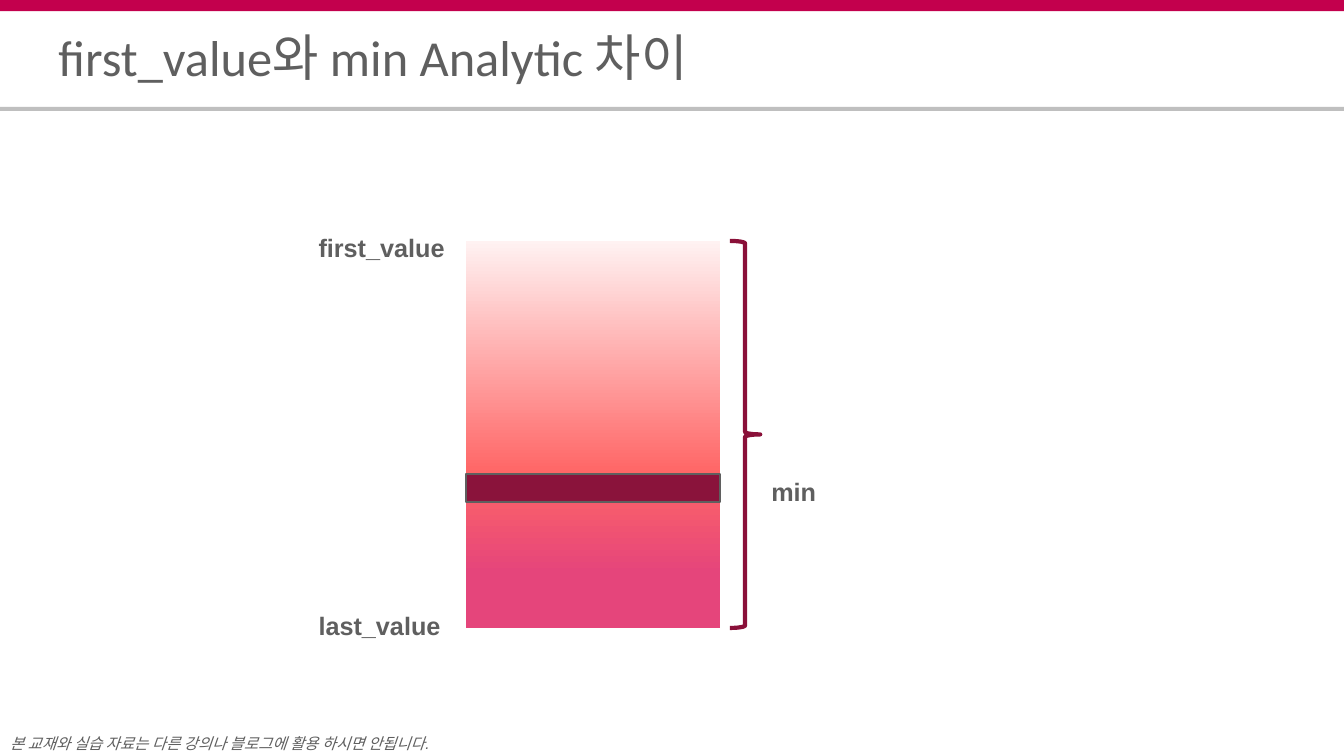
from copy import deepcopy
from pptx import Presentation
from pptx.dml.color import RGBColor
from pptx.enum.shapes import MSO_SHAPE
from pptx.enum.text import MSO_ANCHOR
from pptx.oxml.ns import qn
from pptx.util import Inches, Pt

COLORS = {
    "accent": "C3004D",
    "rule": "BFBFBF",
    "text": "5F5F5F",
    "pale": "FFF2F2",
    "coral": "FF6666",
    "pink": "E5457B",
    "wine": "8A133B",
    "brace": "8A1039",
}


def color(name):
    return RGBColor.from_string(COLORS[name])


class Page:
    def __init__(self, deck):
        self.slide = deck.slides.add_slide(deck.slide_layouts[6])

    def shape(self, kind, box, fill=None, line=None, width=1):
        item = self.slide.shapes.add_shape(kind, *map(Inches, box))
        item.shadow.inherit = False
        if fill:
            item.fill.solid()
            item.fill.fore_color.rgb = color(fill)
        else:
            item.fill.background()
        if line:
            item.line.color.rgb = color(line)
            item.line.width = Pt(width)
        else:
            item.line.fill.background()
        return item

    def rect(self, box, fill, line=None, width=1):
        return self.shape(MSO_SHAPE.RECTANGLE, box, fill, line, width)

    def blend(self, box, stops):
        item = self.rect(box, stops[0][1])
        item.fill.gradient()
        item.fill.gradient_angle = 270
        group = item.element.spPr.find(qn("a:gradFill")).find(qn("a:gsLst"))
        while len(group) < len(stops):
            group.append(deepcopy(group[0]))
        for stop, (place, name) in zip(item.fill.gradient_stops, stops):
            stop.position = place
            stop.color.rgb = color(name)

    def text(self, box, words, size, font="Arial", bold=False, italic=False,
             space=1.1, anchor=MSO_ANCHOR.TOP, wrap=False):
        frame = self.slide.shapes.add_textbox(*map(Inches, box)).text_frame
        frame.margin_left = frame.margin_right = 0
        frame.margin_top = frame.margin_bottom = 0
        frame.word_wrap = wrap
        frame.vertical_anchor = anchor
        para = frame.paragraphs[0]
        para.text = words
        para.line_spacing = space
        para.font.name = font
        para.font.size = Pt(size)
        para.font.bold = bold
        para.font.italic = italic
        para.font.color.rgb = color("text")


def main():
    deck = Presentation()
    deck.slide_width = Inches(13.33)
    deck.slide_height = Inches(7.5)
    page = Page(deck)

    page.rect((0, 0, 13.33, 0.11), "accent")
    page.rect((0, 1.06, 13.33, 0.04), "rule")
    page.text((0.1, 7.19, 4.81, 0.31),
              "본 교재와 실습 자료는 다른 강의나 블로그에 활용 하시면 안됩니다.",
              11, italic=True, space=1.5, wrap=True)
    page.text((0.58, 0.33, 12.17, 0.58), "first_value와 min Analytic 차이",
              36, font="Calibri", space=0.8, anchor=MSO_ANCHOR.MIDDLE, wrap=True)

    left, top, width, height = 4.62, 2.39, 2.52, 3.84
    page.blend((left, top, width, height),
               [(0, "pale"), (0.6, "coral"), (0.86, "pink")])
    page.rect((left, 4.7, width, 0.28), "wine", "text", 1.5)
    page.shape(MSO_SHAPE.RIGHT_BRACE, (left + width + 0.1, top, 0.3, height),
               line="brace", width=3)

    labels = [("first_value", 3.16, 2.28), ("last_value", 3.16, 6.02),
              ("min", 7.65, 4.7)]
    for words, x, y in labels:
        page.text((x, y, 1.46, 1), words, 18, bold=True)

    deck.save("out.pptx")


if __name__ == "__main__":
    main()
